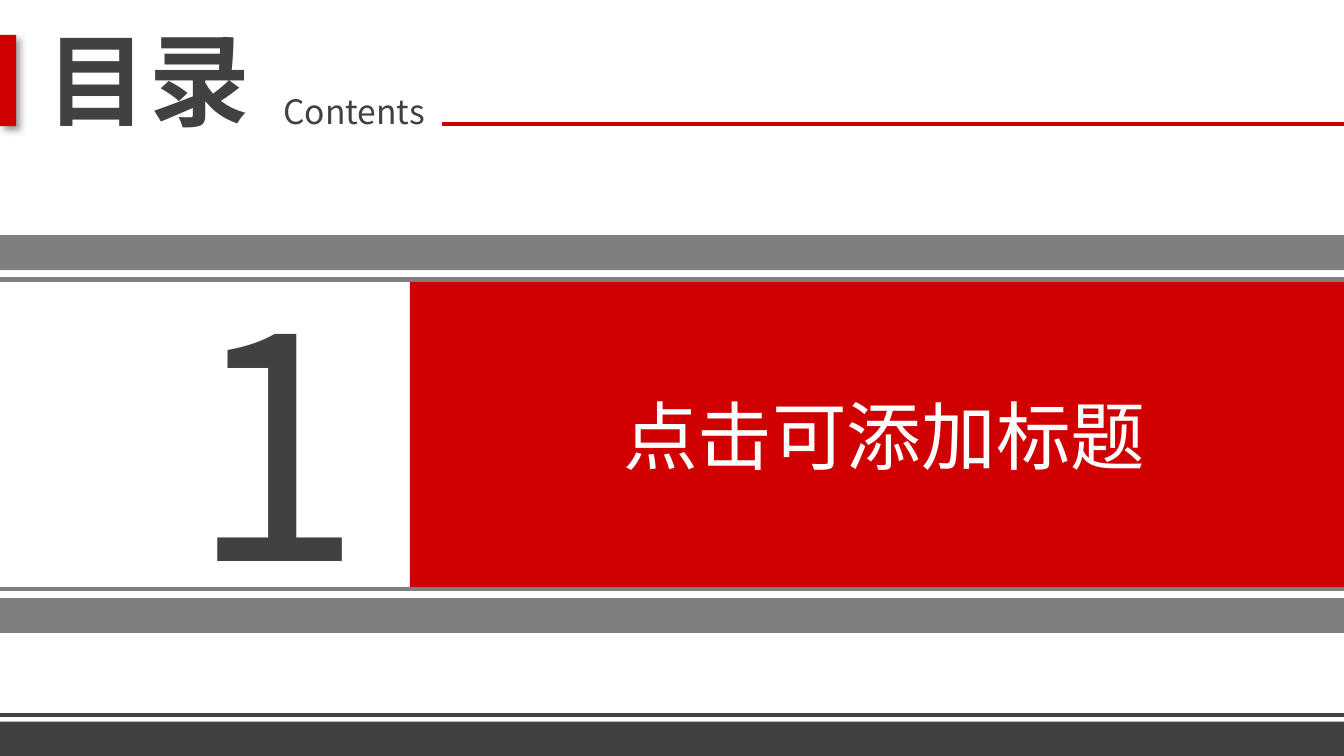
from lxml.etree import SubElement
from pptx import Presentation
from pptx.dml.color import RGBColor
from pptx.enum.shapes import MSO_CONNECTOR, MSO_SHAPE
from pptx.enum.text import MSO_AUTO_SIZE, PP_ALIGN
from pptx.oxml.ns import qn
from pptx.util import Inches, Pt

RED = RGBColor(0xD0, 0x00, 0x00)
GRAY = RGBColor(0x7F, 0x7F, 0x7F)
DARK = RGBColor(0x41, 0x41, 0x41)
WHITE = RGBColor(0xFF, 0xFF, 0xFF)
FONT = "Noto Sans CJK SC"

WIDTH = 10
HEIGHT = WIDTH * 9 / 16
BAND = 0.26
PANEL_LEFT, PANEL_TOP, PANEL_BOTTOM = 3.05, 2.09, 4.38
RULE_LEFT = 3.29

BARS = [
    (0, 4.45, WIDTH, BAND, GRAY),
    (0, 1.75, WIDTH, BAND, GRAY),
    (PANEL_LEFT, PANEL_TOP, WIDTH - PANEL_LEFT, PANEL_BOTTOM - PANEL_TOP, RED),
    (0, 5.37, WIDTH, BAND, DARK),
]
TITLE_MARK = (0, BAND, 0.12, 0.68, RED)
RULES = [
    (RULE_LEFT, 0.92, RED),
    (0, 2.08, GRAY),
    (0, PANEL_BOTTOM, GRAY),
    (0, 5.32, DARK),
]
TEXTS = [
    ("1", (1.32, 1.82, 0.41, 2.89), dict(size=166)),
    ("目录", (0.22, 0.08, 1.77, 1.01),
     dict(size=54, bold=True, spacing=1.7, wrap=False)),
    ("Contents", (1.26, 0.63, 2.75, 0.4), dict(size=18)),
    ("点击可添加标题", (4.16, 2.85, 4.84, 0.77), dict(size=40, color=WHITE)),
]


def add_bar(slide, left, top, width, height, color):
    bar = slide.shapes.add_shape(
        MSO_SHAPE.RECTANGLE, *map(Inches, (left, top, width, height)))
    bar.shadow.inherit = False
    bar.fill.solid()
    bar.fill.fore_color.rgb = color
    bar.line.fill.background()
    return bar


def cast_shadow(bar, blur, distance, angle, opacity):
    effects = bar._element.spPr.find(qn("a:effectLst"))
    shadow = SubElement(
        effects, qn("a:outerShdw"), blurRad=str(Pt(blur)),
        dist=str(Pt(distance)), dir=str(angle * 60000),
        algn="tl", rotWithShape="0")
    tint = SubElement(shadow, qn("a:srgbClr"), val="000000")
    SubElement(tint, qn("a:alpha"), val=str(opacity * 1000))


def add_rule(slide, left, y, color):
    rule = slide.shapes.add_connector(
        MSO_CONNECTOR.STRAIGHT, *map(Inches, (left, y, WIDTH, y)))
    rule.line.color.rgb = color
    rule.line.width = Pt(2.25)
    SubElement(rule._element.spPr, qn("a:effectLst"))


def add_text(slide, text, place, size, color=DARK, bold=False, spacing=0, wrap=True):
    frame = slide.shapes.add_textbox(*map(Inches, place)).text_frame
    frame.word_wrap = wrap
    frame.auto_size = MSO_AUTO_SIZE.SHAPE_TO_FIT_TEXT
    paragraph = frame.paragraphs[0]
    paragraph.alignment = PP_ALIGN.CENTER
    run = paragraph.add_run()
    run.text = text
    run.font.size = Pt(size)
    run.font.bold = bold
    run.font.color.rgb = color
    run.font.name = FONT
    properties = run._r.get_or_add_rPr()
    SubElement(properties, qn("a:ea"), typeface=FONT)
    if spacing:
        properties.set("spc", str(round(spacing * 100)))


def main():
    deck = Presentation()
    deck.slide_width, deck.slide_height = Inches(WIDTH), Inches(HEIGHT)
    slide = deck.slides.add_slide(deck.slide_layouts[6])
    for bar in BARS:
        add_bar(slide, *bar)
    cast_shadow(add_bar(slide, *TITLE_MARK), blur=4, distance=3, angle=45, opacity=40)
    for rule in RULES:
        add_rule(slide, *rule)
    for text, place, style in TEXTS:
        add_text(slide, text, place, **style)
    deck.save("out.pptx")


if __name__ == "__main__":
    main()
